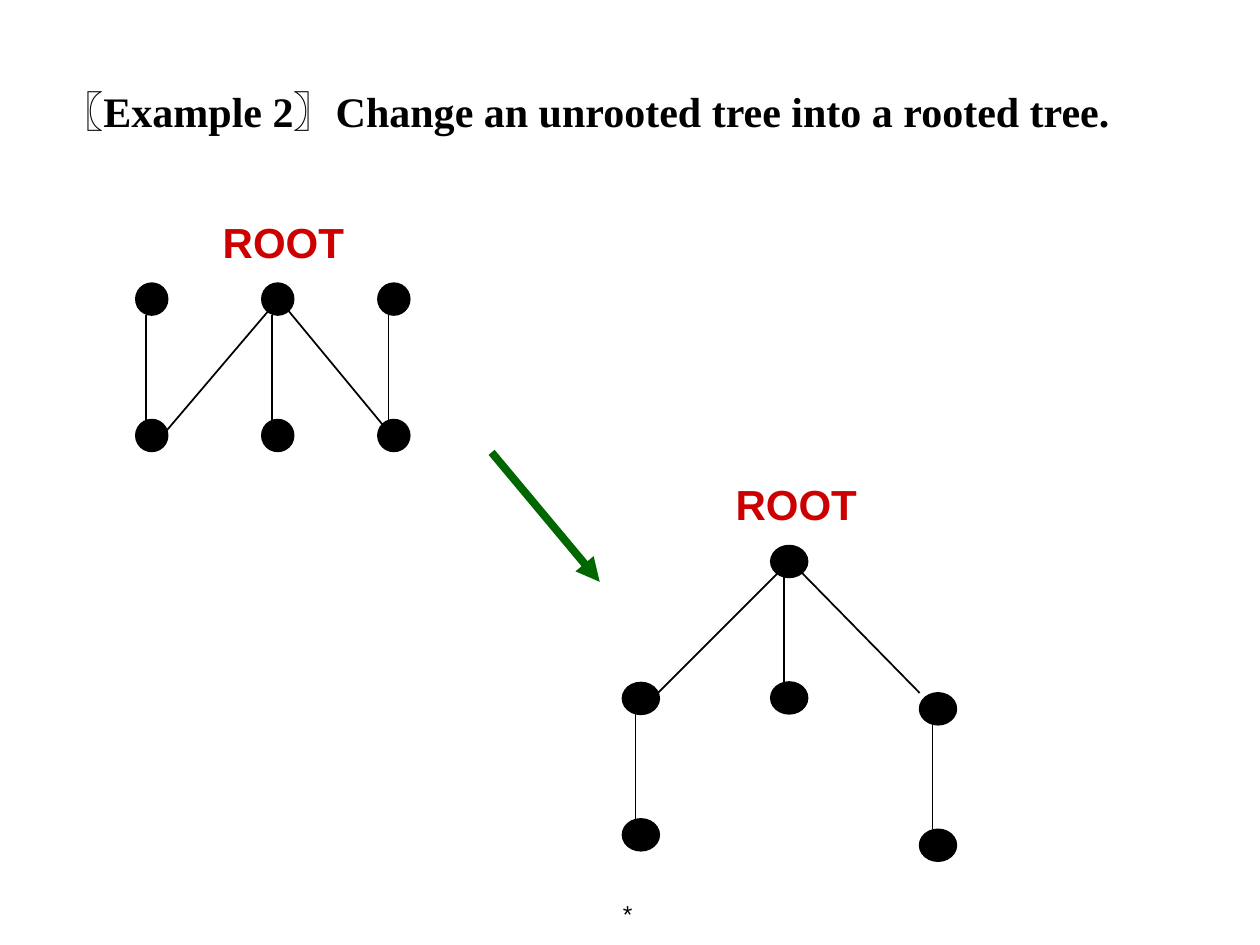
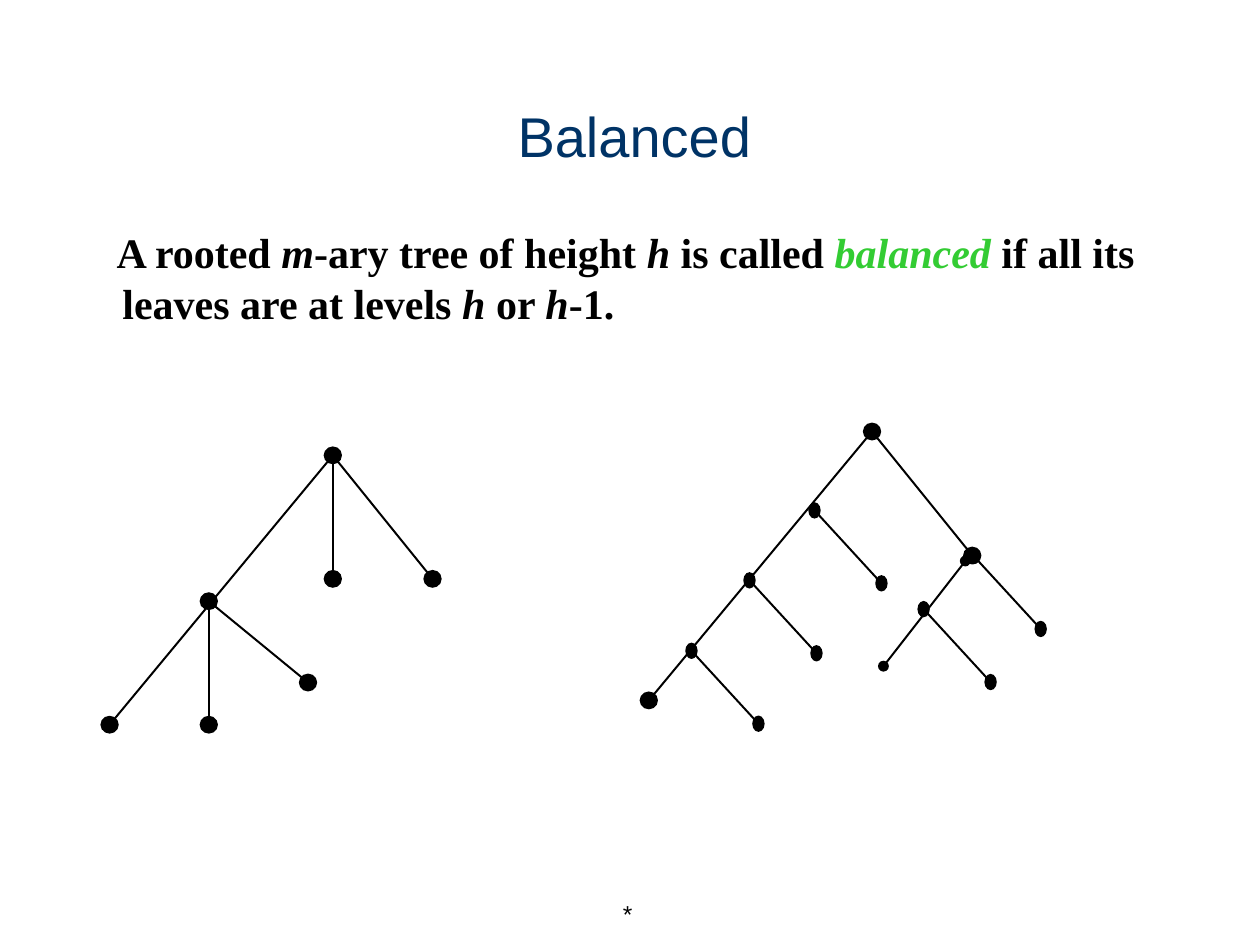
from dataclasses import dataclass

from lxml import etree
from pptx import Presentation
from pptx import util as u
from pptx.dml.color import RGBColor
from pptx.enum import shapes, text
from pptx.oxml.ns import qn


@dataclass(frozen=True)
class Theme:
    black: str = "000000"
    root: str = "CC0000"
    arrow: str = "006600"
    title: str = "003366"
    accent: str = "33CC33"
    sans: str = "Arial"
    serif: str = "Times New Roman"
    footer_size: int = 14
    body_size: int = 24
    title_size: int = 32
    thin: float = 1
    medium: float = 1.13
    thick: float = 4.5


THEME = Theme()

# All positions and sizes are in centimetres; boxes are left, top, width, height.
FOOTER = ("*", (11.3, 17.78, 1.7, 1.27))
EXAMPLE = ("〖Example 2〗Change an unrooted tree into a rooted tree.", (0.99, 1.6, 22.86, 1.37))
HEADING = ("Balanced", (1.07, 1.83, 23.44, 1.7))
DEFINITION_BOX = (1.27, 4.45, 22.86, 2.87)
# Each run: wording, italic, colour
DEFINITION = [
    ("A rooted ", False, THEME.black), ("m", True, THEME.black),
    ("-ary tree of height ", False, THEME.black), ("h", True, THEME.black),
    (" is called ", False, THEME.black), ("balanced", True, THEME.accent),
    (" if all its leaves are at levels ", False, THEME.black), ("h", True, THEME.black),
    (" or ", False, THEME.black), ("h", True, THEME.black), ("-1.", False, THEME.black),
]

ROOT_LABEL = "ROOT"
ROOT_LABEL_SIZE = (2.95, 1.27)
LEVEL_GAP = 2.75
STEM_SHIFT = 0.11
# Columns: centre x and y of the upper node of each vertical pair
ROOTING = [
    {
        "label": (4.24, 4.24),
        "node": (0.64, 0.64),
        "columns": [(3.06, 6.03), (5.6, 6.03), (7.94, 6.03)],
        "branches": [((5.72, 6.15), (7.82, 8.69)), ((5.51, 6.15), (3.18, 8.89))],
    },
    {
        "label": (14.58, 9.53),
        "node": (0.74, 0.64),
        "columns": [(12.92, 14.08), (15.91, 11.32), (18.91, 14.29)],
        "branches": [((16.05, 11.43), (18.54, 13.97)), ((15.8, 11.43), (13.06, 14.17))],
    },
]
ARROW = ((9.91, 9.12), (12.09, 11.73))

ROUND_NODE = (0.37, 0.36)
TWIG_NODE = (0.25, 0.33)
SMALL_NODE = (0.22, 0.22)
TERNARY_TREE = {
    (6.71, 9.18): [(2.21, 14.61), (6.71, 11.67), (8.72, 11.67)],
    (4.21, 12.12): [(4.21, 14.61), (6.21, 13.76)],
}
BINARY_TREE = {(17.58, 8.7): [(13.08, 14.12), (19.6, 11.2)]}
TWIG_STARTS = [(16.42, 10.29), (15.11, 11.7), (13.94, 13.12), (19.63, 11.21), (18.62, 12.28)]
TWIG_STEP = (1.35, 1.47)
SMALL_BRANCH = ((19.46, 11.31), (17.81, 13.43))


def style(span, size, color, font=THEME.sans, bold=False, italic=False):
    span.font.size = u.Pt(size)
    span.font.name = font
    span.font.bold = bold
    span.font.italic = italic
    span.font.color.rgb = RGBColor.from_string(color)


def add_box(page, place, anchor=text.MSO_ANCHOR.TOP, wrap=True):
    box = page.shapes.add_textbox(*map(u.Cm, place))
    box.text_frame.word_wrap = wrap
    box.text_frame.vertical_anchor = anchor
    return box.text_frame


def add_label(page, wording, place, size, color, align=text.PP_ALIGN.LEFT,
              anchor=text.MSO_ANCHOR.TOP, wrap=True, **look):
    frame = add_box(page, place, anchor, wrap)
    frame.text = wording
    para = frame.paragraphs[0]
    para.alignment = align
    style(para.runs[0], size, color, **look)


def add_node(page, centre, size, outline=None):
    (x, y), (width, height) = centre, size
    node = page.shapes.add_shape(shapes.MSO_SHAPE.OVAL, u.Cm(x - width / 2),
                                 u.Cm(y - height / 2), u.Cm(width), u.Cm(height))
    node.shadow.inherit = False
    node.fill.solid()
    node.fill.fore_color.rgb = RGBColor.from_string(THEME.black)
    if outline is None:
        node.line.fill.background()
    else:
        node.line.color.rgb = RGBColor.from_string(THEME.black)
        node.line.width = u.Pt(outline)


def add_edge(page, start, end, width, color=THEME.black):
    edge = page.shapes.add_connector(shapes.MSO_CONNECTOR.STRAIGHT,
                                     *map(u.Cm, (*start, *end)))
    edge.line.color.rgb = RGBColor.from_string(color)
    edge.line.width = u.Pt(width)
    etree.SubElement(edge.element.spPr, qn("a:effectLst"))
    return edge


def add_page(deck):
    """Add a blank slide with the shared footer."""
    page = deck.slides.add_slide(deck.slide_layouts[6])
    wording, place = FOOTER
    add_label(page, wording, place, THEME.footer_size, THEME.black,
              text.PP_ALIGN.RIGHT, text.MSO_ANCHOR.MIDDLE)
    return page


def add_paired_tree(page, tree):
    """Draw vertical node pairs, the branches that join them and the root label."""
    radius = tree["node"][1] / 2
    for x, top in tree["columns"]:
        bottom = top + LEVEL_GAP
        for y in (top, bottom):
            add_node(page, (x, y), tree["node"], THEME.thin)
        stem = x - STEM_SHIFT
        add_edge(page, (stem, top + radius), (stem, bottom - radius), THEME.thin)
    for start, end in tree["branches"]:
        add_edge(page, start, end, THEME.thin)
    add_label(page, ROOT_LABEL, tree["label"] + ROOT_LABEL_SIZE, THEME.body_size,
              THEME.root, wrap=False, bold=True)


def add_tree(page, tree, size):
    """Draw a tree given as parent centre -> child centres."""
    for parent, children in tree.items():
        for child in children:
            add_edge(page, parent, child, THEME.medium)
        for centre in (parent, *children):
            add_node(page, centre, size)


def build_rooting(deck):
    page = add_page(deck)
    wording, place = EXAMPLE
    add_label(page, wording, place, THEME.body_size, THEME.black,
              font=THEME.serif, bold=True)
    for tree in ROOTING:
        add_paired_tree(page, tree)
    arrow = add_edge(page, *ARROW, THEME.thick, THEME.arrow)
    etree.SubElement(arrow.line._get_or_add_ln(), qn("a:tailEnd"), type="triangle")


def build_balanced(deck):
    page = add_page(deck)
    wording, place = HEADING
    add_label(page, wording, place, THEME.title_size, THEME.title,
              text.PP_ALIGN.CENTER, text.MSO_ANCHOR.BOTTOM)

    para = add_box(page, DEFINITION_BOX).paragraphs[0]
    para.space_before = u.Pt(6)
    indent = para._p.get_or_add_pPr()
    indent.set("marL", str(u.Cm(0.95)))
    indent.set("indent", str(u.Cm(-0.12)))
    for words, italic, color in DEFINITION:
        span = para.add_run()
        span.text = words
        style(span, THEME.body_size, color, THEME.serif, bold=True, italic=italic)

    add_tree(page, TERNARY_TREE, ROUND_NODE)
    add_tree(page, BINARY_TREE, ROUND_NODE)
    twigs = {(x, y): [(x + TWIG_STEP[0], y + TWIG_STEP[1])] for x, y in TWIG_STARTS}
    add_tree(page, twigs, TWIG_NODE)
    start, end = SMALL_BRANCH
    add_tree(page, {start: [end]}, SMALL_NODE)


def main():
    deck = Presentation()
    deck.slide_width, deck.slide_height = u.Cm(25.4), u.Cm(19.05)
    build_rooting(deck)
    build_balanced(deck)
    deck.save("out.pptx")


if __name__ == "__main__":
    main()
